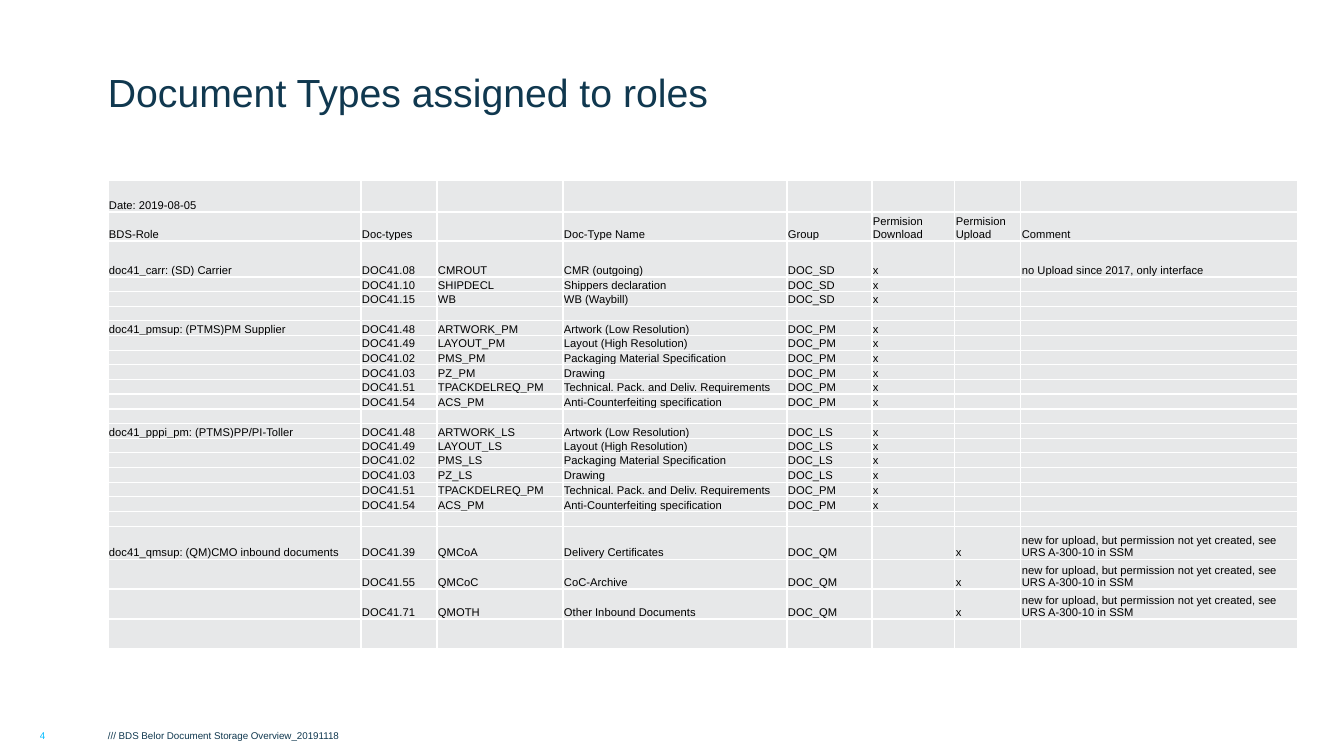
from dataclasses import dataclass

from lxml.etree import SubElement
from pptx import Presentation
from pptx.dml.color import RGBColor
from pptx.enum.text import MSO_ANCHOR as Anchor, PP_ALIGN as Align
from pptx.oxml.ns import qn
from pptx.util import Pt


@dataclass(frozen=True)
class Theme:
    font: str = "Arial"
    navy: str = "10384F"
    cyan: str = "00BCFF"
    black: str = "000000"
    cell: str = "E7E8E9"
    grid: str = "FFFFFF"
    title_size: int = 28
    table_size: int = 8
    footer_size: int = 7


def px(length):
    return round(length * 914400 / 100.8)


class SlideBuilder:
    def __init__(self, slide, theme):
        self.slide = slide
        self.theme = theme

    def style(self, paragraph, size, color):
        for run in paragraph.runs:
            run.font.name = self.theme.font
            run.font.size = Pt(size)
            run.font.color.rgb = RGBColor.from_string(color)

    def text(self, content, box, size, color, anchor=Anchor.TOP, align=Align.LEFT):
        frame = self.slide.shapes.add_textbox(*map(px, box)).text_frame
        frame.word_wrap = True
        frame.margin_left = frame.margin_top = 0
        frame.margin_right = frame.margin_bottom = 0
        frame.vertical_anchor = anchor
        frame.text = content
        frame.paragraphs[0].alignment = align
        self.style(frame.paragraphs[0], size, color)

    def table(self, rows, left, top, widths, heights):
        graphic = self.slide.shapes.add_table(
            len(rows), len(widths), px(left), px(top), px(sum(widths)), px(sum(heights)))
        table = graphic.table
        table.first_row = table.horz_banding = False
        for column, width in zip(table.columns, widths):
            column.width = px(width)
        for row, height, contents in zip(table.rows, heights, rows):
            row.height = px(height)
            for cell, content in zip(row.cells, contents):
                self.cell(cell, content)

    def cell(self, cell, content):
        cell.margin_left = cell.margin_top = cell.margin_right = px(1)
        cell.margin_bottom = 0
        cell.vertical_anchor = Anchor.BOTTOM
        self.borders(cell)
        cell.fill.solid()
        cell.fill.fore_color.rgb = RGBColor.from_string(self.theme.cell)
        paragraph = cell.text_frame.paragraphs[0]
        if content:
            paragraph.text = content
            self.style(paragraph, self.theme.table_size, self.theme.black)
        else:
            # Keeps an empty cell from stretching its row
            SubElement(paragraph._p, qn("a:endParaRPr"), sz=str(self.theme.table_size * 100))

    def borders(self, cell):
        properties = cell._tc.get_or_add_tcPr()
        for side in ("lnL", "lnR", "lnT", "lnB"):
            line = SubElement(properties, qn(f"a:{side}"), w=str(Pt(1)))
            fill = SubElement(line, qn("a:solidFill"))
            SubElement(fill, qn("a:srgbClr"), val=self.theme.grid)


def packaging_documents(suffix):
    """Documents of a packaging role; the last two always belong to PM."""
    documents = [
        ("DOC41.48", "ARTWORK", "Artwork (Low Resolution)", suffix),
        ("DOC41.49", "LAYOUT", "Layout (High Resolution)", suffix),
        ("DOC41.02", "PMS", "Packaging Material Specification", suffix),
        ("DOC41.03", "PZ", "Drawing", suffix),
        ("DOC41.51", "TPACKDELREQ", "Technical. Pack. and Deliv. Requirements", "PM"),
        ("DOC41.54", "ACS", "Anti-Counterfeiting specification", "PM"),
    ]
    return [(number, f"{key}_{owner}", name, f"DOC_{owner}", "x", "", "")
            for number, key, name, owner in documents]


UPLOAD_NOTE = "new for upload, but permission not yet created, see URS A-300-10 in SSM"
ROLES = {
    "doc41_carr: (SD) Carrier": [
        ("DOC41.08", "CMROUT", "CMR (outgoing)", "DOC_SD", "x", "",
         "no Upload since 2017, only interface"),
        ("DOC41.10", "SHIPDECL", "Shippers declaration", "DOC_SD", "x", "", ""),
        ("DOC41.15", "WB", "WB (Waybill)", "DOC_SD", "x", "", ""),
    ],
    "doc41_pmsup: (PTMS)PM Supplier": packaging_documents("PM"),
    "doc41_pppi_pm: (PTMS)PP/PI-Toller": packaging_documents("LS"),
    "doc41_qmsup: (QM)CMO inbound documents": [
        ("DOC41.39", "QMCoA", "Delivery Certificates", "DOC_QM", "", "x", UPLOAD_NOTE),
        ("DOC41.55", "QMCoC", "CoC-Archive", "DOC_QM", "", "x", UPLOAD_NOTE),
        ("DOC41.71", "QMOTH", "Other Inbound Documents", "DOC_QM", "", "x", UPLOAD_NOTE),
    ],
}
HEADER = ("BDS-Role", "Doc-types", "", "Doc-Type Name", "Group",
          "Permision\vDownload", "Permision\vUpload", "Comment")
COLUMN_WIDTHS = [253, 76, 126, 224, 85, 83, 66, 277]
SHORT_ROWS, SHORT_ROWS_HEIGHT = 17, 245


def role_rows():
    """Title and header rows, then each role's documents and a blank row."""
    blank = ("",) * len(HEADER)
    rows = [("Date: 2019-08-05", *blank[1:]), HEADER]
    for role, documents in ROLES.items():
        for index, document in enumerate(documents):
            rows.append(("" if index else role, *document))
        rows.append(blank)
    return rows


def row_heights():
    edges = [round(SHORT_ROWS_HEIGHT * k / SHORT_ROWS) for k in range(SHORT_ROWS + 1)]
    short = [lower - upper for upper, lower in zip(edges, edges[1:])]
    return [32, 29, 36, *short, 33, 30, 30, 30]


def main():
    deck = Presentation()
    deck.slide_width, deck.slide_height = px(1344), px(756)
    theme = Theme()
    builder = SlideBuilder(deck.slides.add_slide(deck.slide_layouts[6]), theme)
    builder.text("Document Types assigned to roles", (108, 20, 1190, 95),
                 theme.title_size, theme.navy, anchor=Anchor.BOTTOM)
    builder.text("/// BDS Belor Document Storage Overview_20191118", (108, 730, 953, 12),
                 theme.footer_size, theme.navy)
    builder.text("4", (21, 730, 43, 12), theme.footer_size, theme.cyan, align=Align.CENTER)
    builder.table(role_rows(), 108, 180, COLUMN_WIDTHS, row_heights())
    deck.save("out.pptx")


if __name__ == "__main__":
    main()
